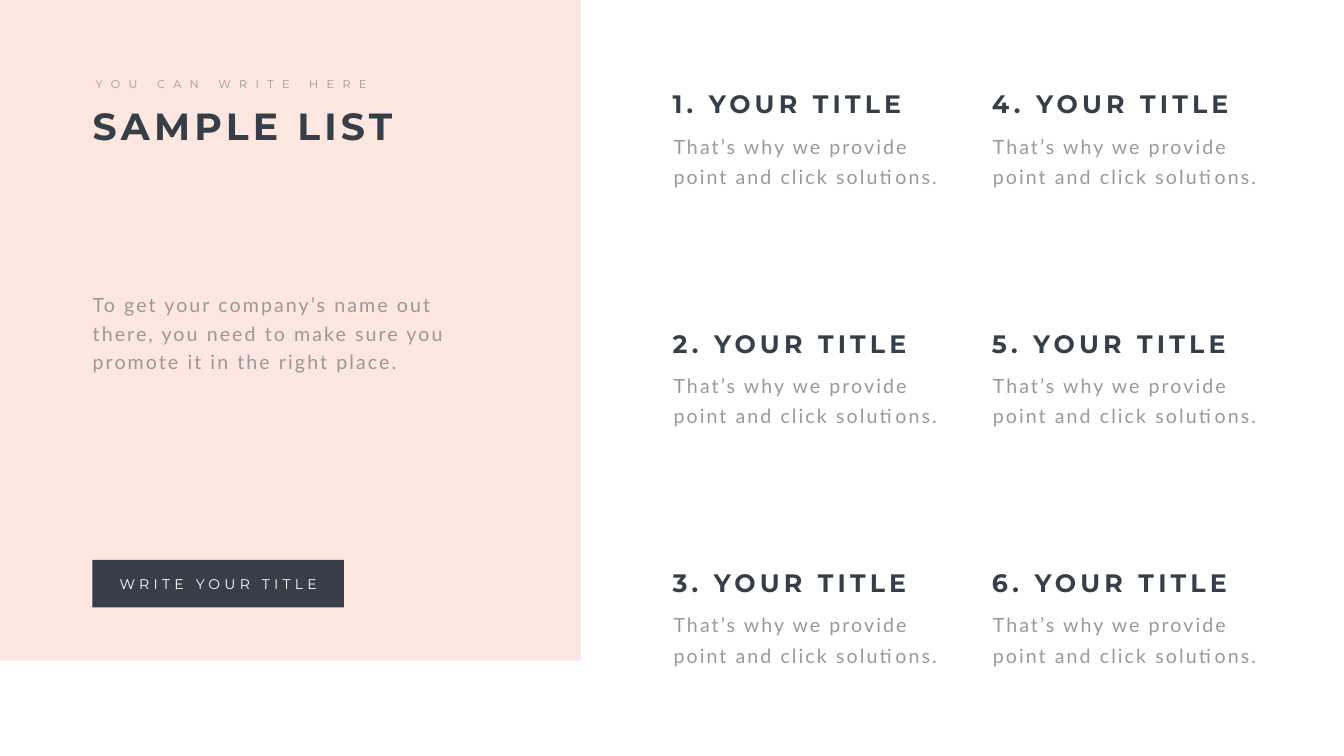
from dataclasses import dataclass

from lxml import etree
from pptx import Presentation
from pptx.dml.color import RGBColor
from pptx.enum.shapes import MSO_SHAPE
from pptx.enum.text import MSO_AUTO_SIZE, PP_ALIGN
from pptx.oxml.ns import qn
from pptx.util import Pt

RECT = MSO_SHAPE.RECTANGLE
GROW = MSO_AUTO_SIZE.SHAPE_TO_FIT_TEXT
LEFT, CENTER = PP_ALIGN.LEFT, PP_ALIGN.CENTER


@dataclass(frozen=True)
class Style:
    """Type style of one kind of text."""
    font: str
    size: float
    color: str
    track: int
    bold: bool = False


@dataclass(frozen=True)
class Theme:
    """Colours and type styles of the slide."""
    blush: str = "FEE0DA"
    dark: str = "363E48"
    head: Style = Style("Montserrat", 54, "363E48", 6, True)
    kicker: Style = Style("Montserrat", 16, "999999", 12)
    item: Style = Style("Montserrat", 36, "363E48", 6, True)
    body: Style = Style("Lato", 28, "999999", 3)
    label: Style = Style("Montserrat", 20, "FFFFFF", 6)


THEME = Theme()


def add_text(shapes, box, text, style, wrap=True, lead=None, inset=(7.2, 3.6), align=LEFT):
    """Add a text box holding one styled run."""
    frame = shapes.add_textbox(*map(Pt, box)).text_frame
    frame.word_wrap = wrap
    frame.auto_size = GROW
    frame.margin_left = frame.margin_right = Pt(inset[0])
    frame.margin_top = frame.margin_bottom = Pt(inset[1])
    para = frame.paragraphs[0]
    para.alignment = align
    if lead:
        para.line_spacing = Pt(lead)
    run = para.add_run()
    run.text = text
    font = run.font
    font.name, font.size, font.bold = style.font, Pt(style.size), style.bold
    font.color.rgb = RGBColor.from_string(style.color)
    run._r.get_or_add_rPr().set("spc", str(style.track * 100))


def add_rect(shapes, box, color, alpha=100):
    """Add a plain rectangle, opaque to the given percentage."""
    rect = shapes.add_shape(RECT, *map(Pt, box))
    rect.shadow.inherit = False
    rect.line.fill.background()
    rect.fill.solid()
    rect.fill.fore_color.rgb = RGBColor.from_string(color)
    if alpha < 100:
        tint = rect._element.spPr.find(".//" + qn("a:srgbClr"))
        etree.SubElement(tint, qn("a:alpha")).set("val", str(alpha * 1000))


def add_button(shapes, box):
    """Add the dark button with its centred label."""
    x, y, w, h = box
    group = shapes.add_group_shape().shapes
    add_rect(group, box, THEME.dark)
    add_text(group, (x + 27.36, y + 18.72, w - 54, h - 36), "WRITE YOUR TITLE",
             THEME.label, wrap=False, align=CENTER)


def add_panel(shapes, box):
    """Add the tinted panel with heading, intro and button."""
    x, y, w, h = box
    add_rect(shapes, box, THEME.blush, 80)
    group = shapes.add_group_shape().shapes
    left = x + 125.28
    add_text(group, (left, y + 143.28, 454.32, 72.72), "SAMPLE LIST", THEME.head, wrap=False)
    add_text(group, (left + 4.32, y + 106.56, 416.16, 26.64), "YOU CAN WRITE HERE",
             THEME.kicker, wrap=False)
    add_text(shapes, (left, y + 408.24, 546.48, 127.44),
             "To get your company’s name out there, you need to make sure you "
             "promote it in the right place.", THEME.body, lead=40.8)
    add_button(shapes, (x + 131.76, y + h - 144, 359.28, 67.68))


def add_item(shapes, box, num):
    """Add one numbered item: a title over its text."""
    x, y, w, h = box
    group = shapes.add_group_shape().shapes
    add_text(group, (x, y + 51.12, w, h - 51.12),
             "That’s why we provide point and click solutions.",
             THEME.body, lead=43, inset=(17.28, 8.64))
    add_text(group, (x + 9, y, w - 36.72, 51.12), f"{num}. YOUR TITLE", THEME.item)


def add_list(shapes, box, rows=3, cols=2):
    """Lay out the items column by column over the box."""
    x, y, w, h = box
    wide, high = 421.2, 151.2
    across, down = (w - wide) / (cols - 1), (h - high) / (rows - 1)
    for i in range(rows * cols):
        col, row = divmod(i, rows)
        add_item(shapes, (x + col * across, y + row * down, wide, high), i + 1)


def main():
    """Build the slide and save it."""
    deck = Presentation()
    deck.slide_width, deck.slide_height = Pt(1919.52), Pt(1080)
    shapes = deck.slides.add_slide(deck.slide_layouts[6]).shapes
    add_panel(shapes, (0, 0, 829.44, 943.92))
    add_list(shapes, (944.64, 123.12, 877.2, 835.2))
    deck.save("out.pptx")


if __name__ == "__main__":
    main()
